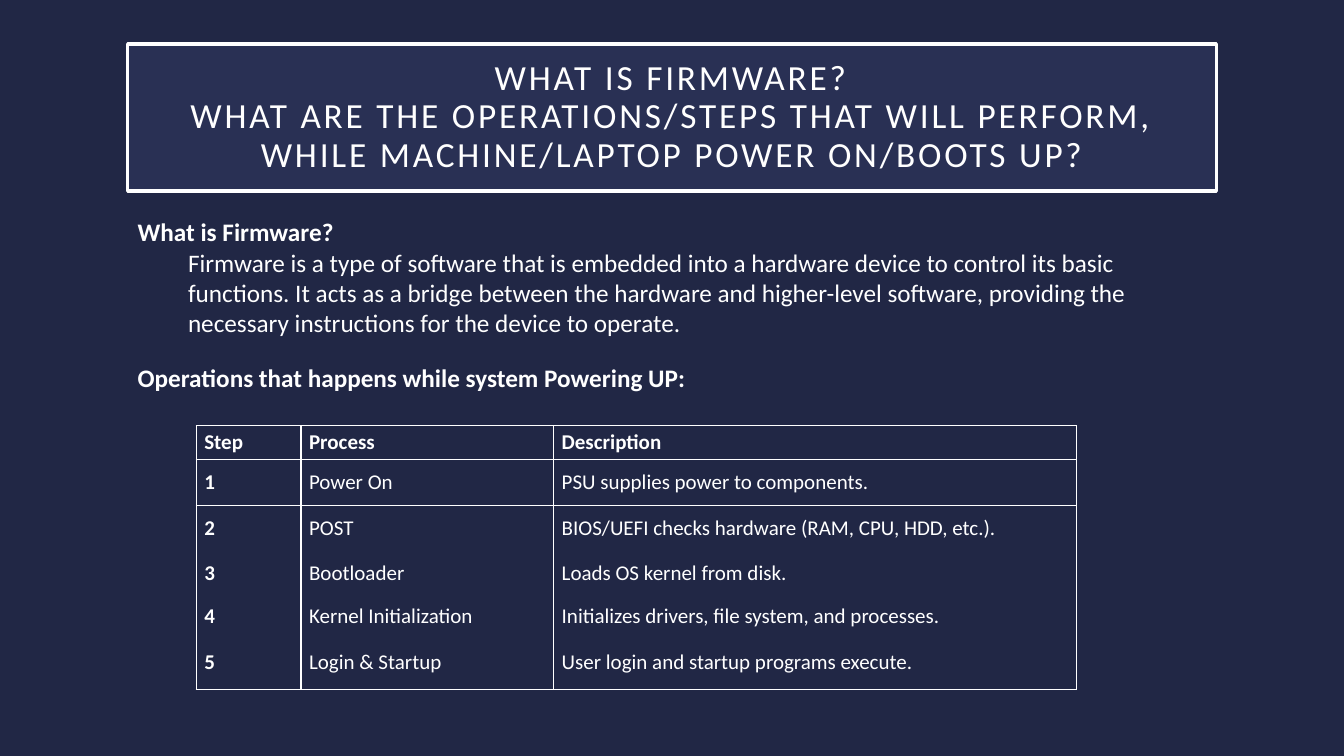
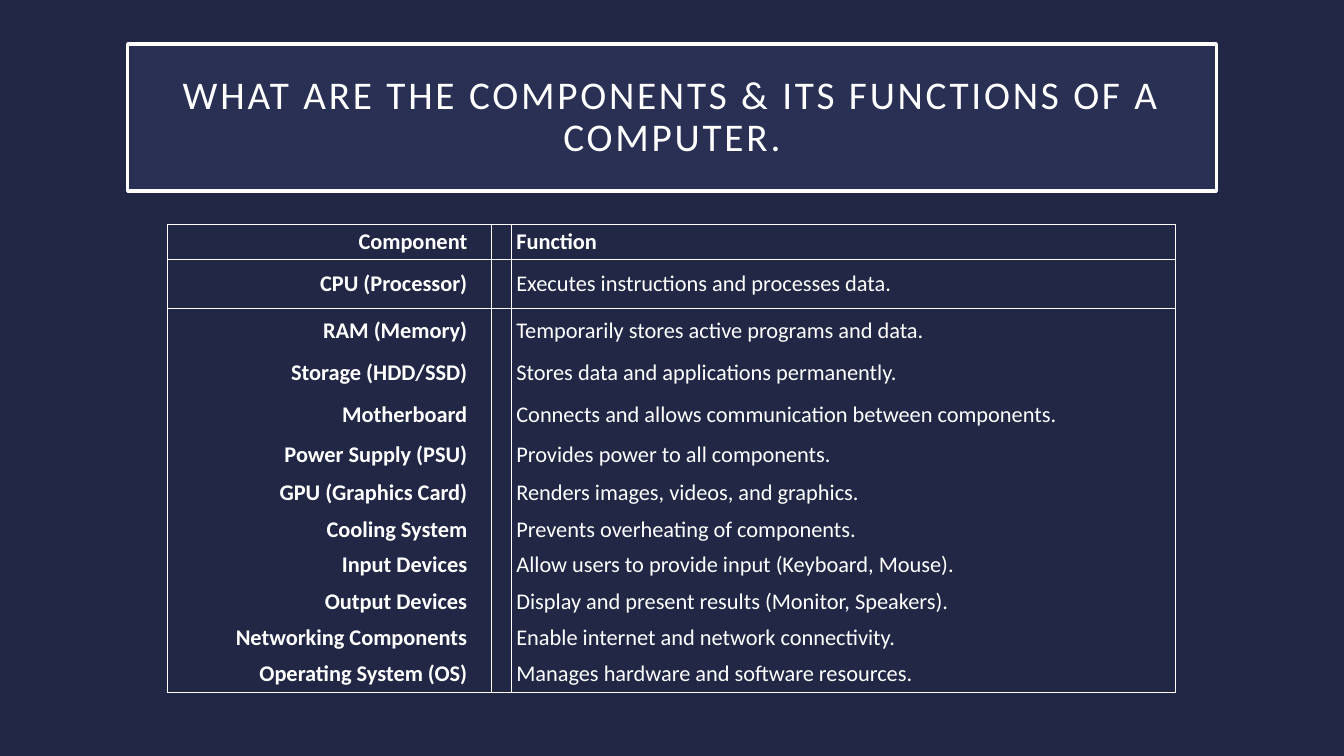
"""Build two slides on computer basics: booting steps and components, each with a ruled table."""
import pptx
import pptx.dml.color
import pptx.enum.text
import pptx.oxml.ns
import pptx.util
import lxml.etree

FONT = "Calibri"
NAVY, PERIWINKLE, WHITE = "212745", "5968B0", "FFFFFF"
NO_STYLE = "{2D5ABB26-0587-4C30-8999-92F81FD0307C}"
color = pptx.dml.color.RGBColor.from_string
qualified = pptx.oxml.ns.qn
ALIGN = pptx.enum.text.PP_ALIGN
MIDDLE = pptx.enum.text.MSO_ANCHOR.MIDDLE

presentation = pptx.Presentation()
presentation.slide_width = pptx.util.Inches(13.33)
presentation.slide_height = pptx.util.Inches(7.5)
background = presentation.slide_master.background.fill
background.solid()
background.fore_color.rgb = color(NAVY)


def across(*percents):
    """Return shares of the slide width."""
    return [round(presentation.slide_width * percent / 100) for percent in percents]


def down(*percents):
    """Return shares of the slide height."""
    return [round(presentation.slide_height * percent / 100) for percent in percents]


MARGIN, CONTENT_WIDTH = across(9.5, 81)
TITLE_TOP, TITLE_HEIGHT = down(5.8, 19.5)

pages = [
    {
        "title": "WHAT IS FIRMWARE?\vWHAT ARE THE OPERATIONS/STEPS THAT WILL PERFORM, "
                 "WHILE MACHINE/LAPTOP POWER ON/BOOTS UP?",
        "title_size": 25.2,
        "notes": [
            (28, 81, 17.5, [
                "What is Firmware?",
                "Firmware is a type of software that is embedded into a hardware device to control "
                "its basic functions. It acts as a bridge between the hardware and higher-level "
                "software, providing the necessary instructions for the device to operate.",
            ]),
            (47.3, 50, 5.3, ["Operations that happens while system Powering UP:"]),
        ],
        "left": 14.6, "top": 56.3, "size": 15, "inset": (0.08, 0.04),
        "columns": [7.8, 18.8, 38.9],
        "rows": [4.5, 6.1, 6, 6, 5.2, 7.1],
        "rules": {0, 1, 2, 3},
        "first_align": ALIGN.LEFT,
        "cells": [
            ("Step", "Process", "Description"),
            ("1", "Power On", "PSU supplies power to components."),
            ("2", "POST", "BIOS/UEFI checks hardware (RAM, CPU, HDD, etc.)."),
            ("3", "Bootloader", "Loads OS kernel from disk."),
            ("4", "Kernel Initialization", "Initializes drivers, file system, and processes."),
            ("5", "Login & Startup", "User login and startup programs execute."),
        ],
    },
    {
        "title": "WHAT ARE THE COMPONENTS & ITS FUNCTIONS OF A COMPUTER.",
        "title_size": 28,
        "notes": [],
        "left": 12.45, "top": 29.7, "size": 16, "inset": (0.05, 0.02),
        "columns": [22.7, 1.4, 1.5, 49.4],
        "rows": [4.6, 6.5, 5.9, 5.2, 5.9, 4.8, 5.2, 4.6, 4.8, 4.8, 4.8, 4.8],
        "rules": {0, 2, 4},
        "first_align": ALIGN.RIGHT,
        "cells": [
            ("Component", "", "", "Function"),
            ("CPU (Processor)", "", "", "Executes instructions and processes data."),
            ("RAM (Memory)", "", "", "Temporarily stores active programs and data."),
            ("Storage (HDD/SSD)", "", "", "Stores data and applications permanently."),
            ("Motherboard", "", "", "Connects and allows communication between components."),
            ("Power Supply (PSU)", "", "", "Provides power to all components."),
            ("GPU (Graphics Card)", "", "", "Renders images, videos, and graphics."),
            ("Cooling System", "", "", "Prevents overheating of components."),
            ("Input Devices", "", "", "Allow users to provide input (Keyboard, Mouse)."),
            ("Output Devices", "", "", "Display and present results (Monitor, Speakers)."),
            ("Networking Components", "", "", "Enable internet and network connectivity."),
            ("Operating System (OS)", "", "", "Manages hardware and software resources."),
        ],
    },
]

for page in pages:
    slide = presentation.slides.add_slide(presentation.slide_layouts[5])
    texts = []

    title = slide.shapes.title
    title.left, title.top = MARGIN, TITLE_TOP
    title.width, title.height = CONTENT_WIDTH, TITLE_HEIGHT
    title.fill.solid()
    title.fill.fore_color.rgb = color(PERIWINKLE)
    tint = title.fill._xPr.find(".//" + qualified("a:srgbClr"))
    lxml.etree.SubElement(tint, qualified("a:alpha"), val="15000")
    title.line.color.rgb = color(WHITE)
    title.line.width = pptx.util.Pt(2.5)
    frame = title.text_frame
    frame.text = page["title"]
    frame.auto_size = pptx.enum.text.MSO_AUTO_SIZE.NONE
    frame.word_wrap = True
    frame.vertical_anchor = MIDDLE
    frame.margin_left = frame.margin_right = pptx.util.Inches(0.2)
    frame.margin_top = frame.margin_bottom = pptx.util.Inches(0.2)
    heading = frame.paragraphs[0]
    heading.alignment = ALIGN.CENTER
    heading.line_spacing = 0.9
    texts.append((heading, page["title_size"], False))
    for run in heading.runs:
        run.font._element.set("spc", "200")

    for top, width, height, lines in page["notes"]:
        box = slide.shapes.add_textbox(MARGIN, *down(top), *across(width), *down(height))
        box.text_frame.word_wrap = True
        box.text_frame.text = "\n".join(lines)
        for index, paragraph in enumerate(box.text_frame.paragraphs):
            texts.append((paragraph, 18, index == 0))
            if index:
                paragraph.level = 1
                paragraph._p.get_or_add_pPr().set("marL", str(pptx.util.Inches(0.5)))

    widths, heights = across(*page["columns"]), down(*page["rows"])
    table = slide.shapes.add_table(
        len(heights), len(widths), *across(page["left"]), *down(page["top"]),
        sum(widths), sum(heights)).table
    table._tbl.tblPr.find(qualified("a:tableStyleId")).text = NO_STYLE
    table.first_row = table.horz_banding = False
    for column, width in zip(table.columns, widths):
        column.width = width
    for row, height in zip(table.rows, heights):
        row.height = height

    last_row = len(heights) - 1
    for row_index, values in enumerate(page["cells"]):
        for column_index, value in enumerate(values):
            cell = table.cell(row_index, column_index)
            cell.text = value
            cell.vertical_anchor = MIDDLE
            side, edge = page["inset"]
            cell.margin_left = cell.margin_right = pptx.util.Inches(side)
            cell.margin_top = cell.margin_bottom = pptx.util.Inches(edge)
            paragraph = cell.text_frame.paragraphs[0]
            paragraph.alignment = ALIGN.LEFT if column_index else page["first_align"]
            texts.append((paragraph, page["size"], row_index == 0 or column_index == 0))

            borders = {
                "a:lnL": column_index in page["rules"],
                "a:lnR": column_index + 1 in page["rules"],
                "a:lnT": row_index in (0, 1),
                "a:lnB": row_index in (0, last_row),
            }
            properties = cell._tc.get_or_add_tcPr()
            for tag, visible in borders.items():
                if visible:
                    border = lxml.etree.SubElement(
                        properties, qualified(tag), w=str(pptx.util.Pt(1)))
                    solid = lxml.etree.SubElement(border, qualified("a:solidFill"))
                    lxml.etree.SubElement(solid, qualified("a:srgbClr"), val=WHITE)
            cell.fill.background()

    for paragraph, size, bold in texts:
        for run in paragraph.runs:
            run.font.name = FONT
            run.font.size = pptx.util.Pt(size)
            run.font.bold = bold
            run.font.color.rgb = color(WHITE)

presentation.save("out.pptx")
